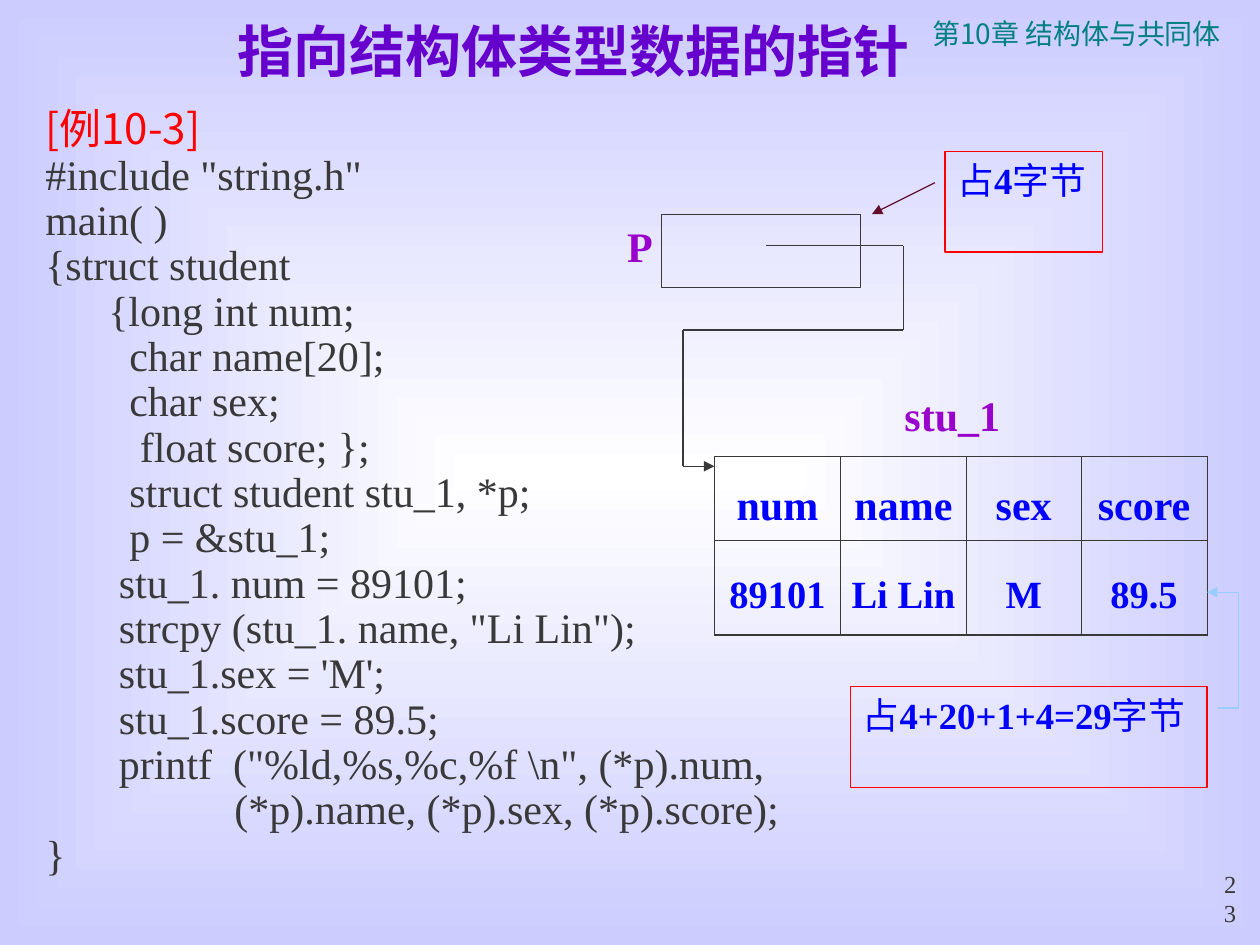
from lxml import etree
from pptx import Presentation
from pptx.dml.color import RGBColor
from pptx.enum.shapes import MSO_CONNECTOR, MSO_SHAPE
from pptx.enum.text import MSO_ANCHOR, PP_ALIGN
from pptx.oxml.ns import qn
from pptx.util import Inches, Pt

LEFT, CENTER, RIGHT = PP_ALIGN.LEFT, PP_ALIGN.CENTER, PP_ALIGN.RIGHT
TOP, MIDDLE, BOTTOM = MSO_ANCHOR.TOP, MSO_ANCHOR.MIDDLE, MSO_ANCHOR.BOTTOM
STRAIGHT, RECTANGLE = MSO_CONNECTOR.STRAIGHT, MSO_SHAPE.RECTANGLE

SERIF, SANS, SANS_JP = "Times New Roman", "Noto Sans CJK SC", "Noto Sans CJK JP"
INK, BLUE, VIOLET, RED = "393939", "0000FF", "9900CC", "FF0000"
LINE_WIDTH = Pt(0.75)
CODE_SIZE = 24
SPACE_WIDTH = CODE_SIZE / 4 / 72  # one space of the code font, in inches

# Indent in spaces, then the line of code
CODE = [
    (0, '#include "string.h"'),
    (0, "main( )"),
    (0, "{struct student"),
    (6, "{long int num;"),
    (8, "char name[20];"),
    (8, "char sex;"),
    (9, "float score; };"),
    (8, "struct student stu_1, *p;"),
    (8, "p = &stu_1;"),
    (7, "stu_1. num = 89101;"),
    (7, 'strcpy (stu_1. name, "Li Lin");'),
    (7, "stu_1.sex = 'M';"),
    (7, "stu_1.score = 89.5;"),
    (7, 'printf  ("%ld,%s,%c,%f \\n", (*p).num,'),
    (18, "(*p).name, (*p).sex, (*p).score);"),
    (0, "}"),
]
FIELDS = [("num", "name", "sex", "score"), ("89101", "Li Lin", "M", "89.5")]


def rgb(value):
    return RGBColor.from_string(value)


def format_run(run, size, color, bold=False, latin=SERIF, asian=SANS):
    font = run.font
    font.size, font.bold, font.name = Pt(size), bold, latin
    font.color.rgb = rgb(color)
    etree.SubElement(run._r.get_or_add_rPr(), qn("a:ea")).set("typeface", asian)


def indent(paragraph, inches):
    paragraph._p.get_or_add_pPr().set("marL", str(Inches(inches)))


def add_text(slide, box, text, size, color, align=LEFT, anchor=TOP, **style):
    shape = slide.shapes.add_textbox(*map(Inches, box))
    frame = shape.text_frame
    frame.text, frame.word_wrap, frame.vertical_anchor = text, True, anchor
    for paragraph in frame.paragraphs:
        paragraph.alignment = align
        for run in paragraph.runs:
            format_run(run, size, color, **style)
    return frame


def add_box(slide, box, color):
    shape = slide.shapes.add_shape(RECTANGLE, *map(Inches, box))
    shape.shadow.inherit = False
    shape.fill.background()
    shape.line.color.rgb, shape.line.width = rgb(color), LINE_WIDTH
    return shape


def add_arrow(slide, points, color):
    """Join the points with straight lines; the last one carries the head."""
    for start, end in zip(points, points[1:]):
        line = slide.shapes.add_connector(STRAIGHT, *map(Inches, start + end))
        line.line.color.rgb, line.line.width = rgb(color), LINE_WIDTH
        etree.SubElement(line._element.spPr, qn("a:effectLst"))
    etree.SubElement(line.line._get_or_add_ln(), qn("a:tailEnd")).set("type", "triangle")


def paint_background(slide):
    fill = slide.background.fill
    fill.gradient()
    for stop, color in zip(fill.gradient_stops, ("FFFFFF", "CCCCFF")):
        stop.color.rgb = rgb(color)
    gradient = slide.element.find(".//" + qn("a:gradFill"))
    gradient.remove(gradient.find(qn("a:lin")))
    shade = etree.SubElement(gradient, qn("a:path"), path="rect")
    etree.SubElement(shade, qn("a:fillToRect"), {side: "50000" for side in "ltrb"})


def add_code(slide, box):
    text = "\n".join(["[例10-3]"] + [line for _, line in CODE])
    frame = add_text(slide, box, text, CODE_SIZE, INK, anchor=MIDDLE)
    frame.margin_left = frame.margin_right = Inches(0.04)
    spaces = [0] + [count for count, _ in CODE]
    for paragraph, count in zip(frame.paragraphs, spaces):
        paragraph.line_spacing = 0.9
        indent(paragraph, 0.5 + count * SPACE_WIDTH)
    heading = frame.paragraphs[0].runs[0].font
    heading.name, heading.color.rgb = SANS, rgb(RED)


def add_pointer(slide, box):
    left, top, width, height = box
    add_text(slide, (left - 0.42, top, 0.5, 0.5), "P", 24, VIOLET, CENTER, bold=True)
    add_box(slide, box, INK)


def border_cell(cell):
    properties = cell._tc.get_or_add_tcPr()
    for side in "LRTB":
        line = etree.SubElement(properties, qn("a:ln" + side), w=str(LINE_WIDTH))
        solid = etree.SubElement(line, qn("a:solidFill"))
        etree.SubElement(solid, qn("a:srgbClr"), val=INK)
    cell.fill.background()


def add_record(slide, box):
    left, top, width, height = box
    add_text(slide, (left + 1.41, top - 0.58, 1, 0.5), "stu_1", 24, VIOLET, bold=True)
    table = slide.shapes.add_table(2, 4, *map(Inches, box)).table
    table.first_row = table.horz_banding = False
    for column, column_width in zip(table.columns, (1, 1, 0.91, 1)):
        column.width = Inches(column_width)
    for row, row_height, values, size in zip(table.rows, (0.67, 0.75), FIELDS, (24, 22)):
        row.height = Inches(row_height)
        for cell, value in zip(row.cells, values):
            cell.text, cell.vertical_anchor = value, MIDDLE
            cell.margin_left = cell.margin_right = 0
            cell.margin_top, cell.margin_bottom = Inches(0.12), 0
            paragraph = cell.text_frame.paragraphs[0]
            paragraph.alignment = CENTER
            format_run(paragraph.runs[0], size, BLUE, True)
            border_cell(cell)


def add_size_note(slide, box, count):
    frame = add_box(slide, box, RED).text_frame
    frame.word_wrap, frame.vertical_anchor = True, TOP
    paragraph = frame.paragraphs[0]
    paragraph.alignment = LEFT
    for text in ("占", count, "字节"):
        run = paragraph.add_run()
        run.text = text
        format_run(run, 21, BLUE, text == count)


def add_page_number(slide, box):
    frame = add_text(slide, box, "23", 14, INK, RIGHT, BOTTOM)
    indent(frame.paragraphs[0], 0.24)


def main():
    presentation = Presentation()
    presentation.slide_width, presentation.slide_height = Inches(10), Inches(7.5)
    slide = presentation.slides.add_slide(presentation.slide_layouts[6])
    paint_background(slide)

    # Chapter header and title
    add_text(slide, (7.17, 0.08, 2.75, 0.37), "第10章 结构体与共同体", 16, "008080",
             CENTER, latin=SANS_JP, asian=SANS_JP)
    add_text(slide, (-0.02, -0.01, 9.15, 0.82), "指向结构体类型数据的指针", 32, "6600CC",
             CENTER, MIDDLE, bold=True)

    # Program and memory diagram
    add_code(slide, (-0.18, 0.81, 7.04, 6.22))
    add_pointer(slide, (5.25, 1.7, 1.58, 0.58))
    add_record(slide, (5.67, 3.62, 3.91, 1.42))
    add_arrow(slide, [(6.08, 1.95), (7.17, 1.95), (7.17, 2.62), (5.42, 2.62),
                      (5.42, 3.7), (5.67, 3.7)], INK)

    # Size notes
    add_size_note(slide, (7.5, 1.2, 1.25, 0.8), "4")
    add_arrow(slide, [(7.42, 1.45), (6.92, 1.7)], "630F2B")
    add_size_note(slide, (6.75, 5.45, 2.83, 0.8), "4+20+1+4=29")
    add_arrow(slide, [(9.67, 5.62), (9.83, 5.62), (9.83, 4.7), (9.58, 4.7)], "99CCFF")

    add_page_number(slide, (9.33, 7.08, 0.58, 0.33))
    presentation.save("out.pptx")


if __name__ == "__main__":
    main()
